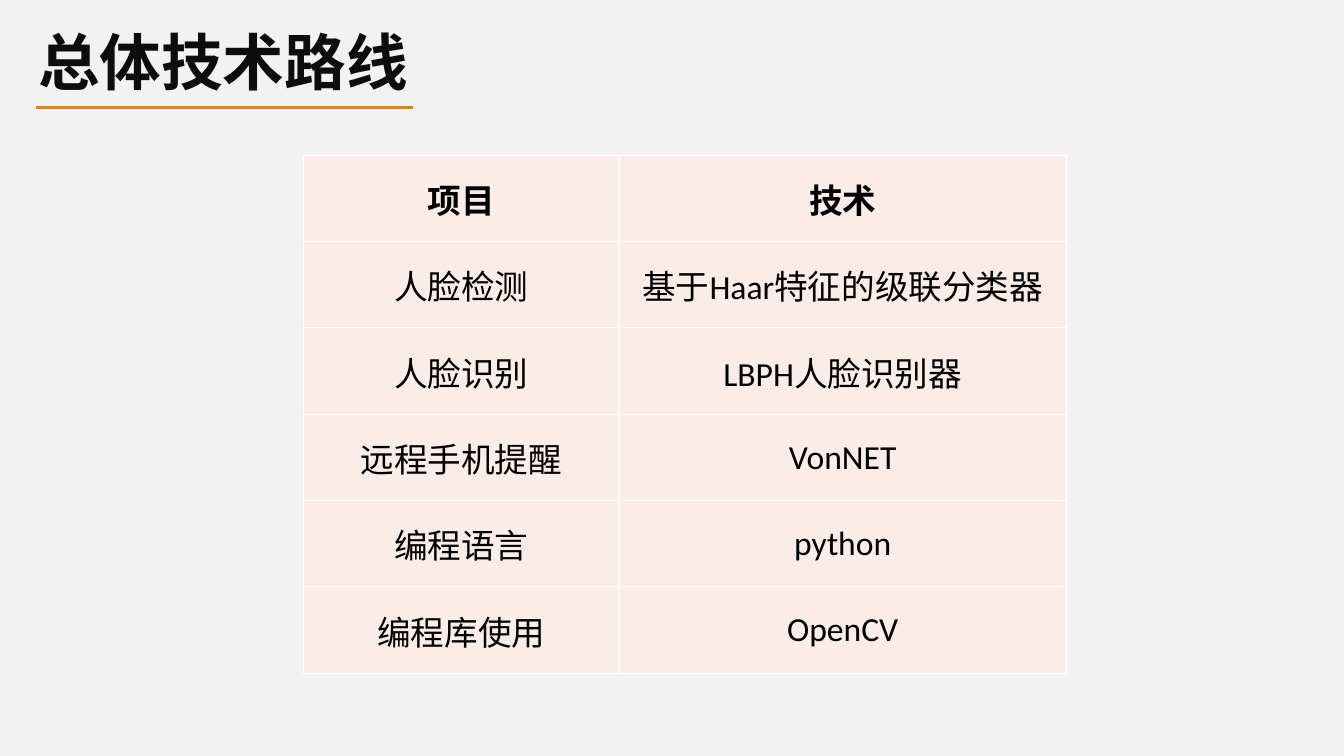
from lxml.etree import SubElement
from pptx import Presentation
from pptx.dml.color import RGBColor
from pptx.enum.shapes import MSO_CONNECTOR
from pptx.enum.text import MSO_ANCHOR, MSO_AUTO_SIZE, PP_ALIGN
from pptx.oxml.ns import qn
from pptx.util import Pt

COLOURS = {
    "background": "F2F2F2",
    "heading": "0D0D0D",
    "rule": "E48312",
    "cell": "FAEDE7",
    "border": "FFFFFF",
    "text": "000000",
}
CJK_FONT = "Noto Sans CJK SC"
LATIN_FONT = "Calibri"
HEADING_FORMAT = {"size": Pt(44), "bold": True, "name": CJK_FONT}
HEADER_FORMAT = {"size": Pt(24), "bold": True, "name": CJK_FONT}
BODY_FORMAT = {"size": Pt(24), "bold": False, "name": LATIN_FONT}

ROUTE = [
    ("项目", "技术"),
    ("人脸检测", "基于Haar特征的级联分类器"),
    ("人脸识别", "LBPH人脸识别器"),
    ("远程手机提醒", "VonNET"),
    ("编程语言", "python"),
    ("编程库使用", "OpenCV"),
]


def colour(key):
    return RGBColor.from_string(COLOURS[key])


def set_attributes(target, values):
    for attribute, value in values.items():
        setattr(target, attribute, value)


def write(frame, words, font_format, colour_key, alignment):
    """Put one formatted run in the frame, with a font for Chinese as well."""
    paragraph = frame.paragraphs[0]
    paragraph.alignment = alignment
    run = paragraph.add_run()
    run.text = words
    set_attributes(run.font, font_format)
    run.font.color.rgb = colour(colour_key)
    SubElement(run._r.get_or_add_rPr(), qn("a:ea"), typeface=CJK_FONT)


def add_heading(slide, left, top, width, height):
    heading = slide.shapes.title
    set_attributes(heading, {"left": Pt(left), "top": Pt(top),
                             "width": Pt(width), "height": Pt(height)})
    set_attributes(heading.text_frame, {
        "word_wrap": False,
        "auto_size": MSO_AUTO_SIZE.SHAPE_TO_FIT_TEXT,
        "vertical_anchor": MSO_ANCHOR.TOP,
    })
    write(heading.text_frame, "总体技术路线", HEADING_FORMAT, "heading", PP_ALIGN.LEFT)

    inset, rule_y = 5.5, top + height + 2.8
    rule = slide.shapes.add_connector(
        MSO_CONNECTOR.STRAIGHT,
        Pt(left + inset), Pt(rule_y), Pt(left + width - inset - 1), Pt(rule_y))
    rule.line.color.rgb = colour("rule")
    rule.line.width = Pt(2.25)
    SubElement(rule._element.spPr, qn("a:effectLst"))


def add_borders(cell):
    properties = cell._tc.get_or_add_tcPr()
    for side in ("lnL", "lnR", "lnT", "lnB"):
        border = SubElement(properties, qn(f"a:{side}"), w=str(Pt(1)))
        fill = SubElement(border, qn("a:solidFill"))
        SubElement(fill, qn("a:srgbClr"), val=COLOURS["border"])


def add_route_table(slide, left, top, width, height):
    route = slide.shapes.add_table(
        len(ROUTE), len(ROUTE[0]), Pt(left), Pt(top), Pt(width), Pt(height)).table
    first_width = 225.5
    for column, column_width in zip(route.columns, (first_width, width - first_width)):
        column.width = Pt(column_width)
    for row_index, entries in enumerate(ROUTE):
        route.rows[row_index].height = Pt(height / len(ROUTE))
        font_format = BODY_FORMAT if row_index else HEADER_FORMAT
        for column_index, words in enumerate(entries):
            cell = route.cell(row_index, column_index)
            set_attributes(cell, {
                "margin_left": Pt(5), "margin_right": Pt(5),
                "margin_top": Pt(0.75), "margin_bottom": Pt(0),
                "vertical_anchor": MSO_ANCHOR.MIDDLE,
            })
            add_borders(cell)
            cell.fill.solid()
            cell.fill.fore_color.rgb = colour("cell")
            write(cell.text_frame, words, font_format, "text", PP_ALIGN.CENTER)


def main():
    presentation = Presentation()
    presentation.slide_width, presentation.slide_height = Pt(960), Pt(540)
    title_only = presentation.slide_layouts[5]
    slide = presentation.slides.add_slide(title_only)
    slide.background.fill.solid()
    slide.background.fill.fore_color.rgb = colour("background")
    add_heading(slide, 20, 13.7, 281.5, 60.5)
    add_route_table(slide, 216.7, 110.9, 545, 370)
    presentation.save("out.pptx")


if __name__ == "__main__":
    main()
